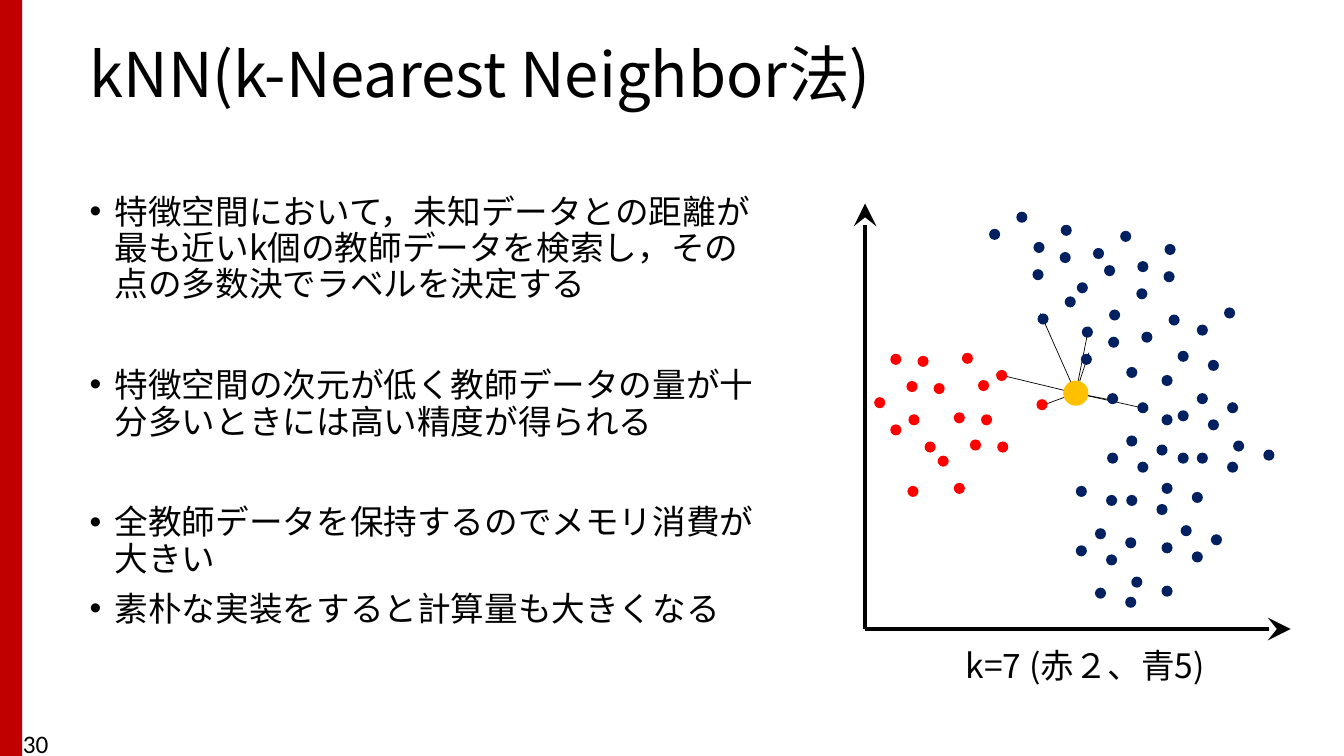
"""Build the k-nearest-neighbour slide, growing the scatter diagram from lattice patches."""
from dataclasses import dataclass, field

from lxml import etree
from pptx import Presentation
from pptx import util as u
from pptx.dml.color import RGBColor
from pptx.enum import shapes, text
from pptx.oxml import ns

BLACK = RGBColor(0x00, 0x00, 0x00)
BAR_RED = RGBColor(0xC0, 0x00, 0x00)
RED = RGBColor(0xFF, 0x00, 0x00)
NAVY = RGBColor(0x00, 0x20, 0x60)
AMBER = RGBColor(0xFF, 0xC0, 0x00)
JAPANESE_FONT = "Noto Sans CJK JP"
DOT_SIZE = 0.11
UNKNOWN_SIZE = 0.25
Point = tuple[float, float]
Cell = tuple[int, int]

PAIR: list[Cell] = [(0, 0)]
BLOCK: list[Cell] = [(row, column) for row in range(2) for column in range(2)]
NO_LOWER_LEFT = [cell for cell in BLOCK if cell != (1, 0)]
NO_LOWER_RIGHT = [cell for cell in BLOCK if cell != (1, 1)]


@dataclass
class Patch:
    corner: Point
    cells: list[Cell] = field(default_factory=lambda: PAIR)


@dataclass
class Lattice:
    color: RGBColor
    pair_step: Point
    row_step: Point
    column_step: Point
    patches: list[Patch]
    lone_dots: list[Point]

    def dots(self) -> list[Point]:
        steps = (self.pair_step, self.row_step, self.column_step)
        grown = [shift(patch.corner, steps, (mate, row, column))
                 for patch in self.patches
                 for row, column in patch.cells
                 for mate in range(2)]
        return grown + self.lone_dots


@dataclass
class Segment:
    start: Point
    end: Point
    width: float = 0.5
    arrow: bool = False


@dataclass
class Bullet:
    wording: str
    space_before: float


RED_CLASS = Lattice(
    RED, pair_step=(0.16, 0.27), row_step=(-0.16, 0.43), column_step=(0.27, 0.02),
    patches=[Patch((8.83, 3.51), NO_LOWER_RIGHT), Patch((9.46, 4.09), NO_LOWER_RIGHT),
             Patch((9.01, 4.11)), Patch((9.54, 3.5))],
    lone_dots=[(9, 4.82), (9.88, 3.67), (10.28, 3.96)])
BLUE_CLASS_UPPER = Lattice(
    NAVY, pair_step=(-0.27, 0.17), row_step=(0.43, 0.4), column_step=(-0.44, -0.13),
    patches=[Patch((10.52, 2.23), BLOCK), Patch((11.55, 2.42), NO_LOWER_LEFT),
             Patch((11, 3.07), NO_LOWER_LEFT), Patch((11.59, 3.12)), Patch((12.14, 3.05))],
    lone_dots=[(11.17, 3.64), (11.52, 3.72), (11.52, 4.11)])
BLUE_CLASS_LOWER = Lattice(
    NAVY, pair_step=(-0.3, -0.09), row_step=(0, 0.59), column_step=(-0.19, -0.42),
    patches=[Patch((11.47, 4.41), BLOCK), Patch((12.01, 5.3), NO_LOWER_LEFT),
             Patch((11.16, 5.33), BLOCK), Patch((12.17, 3.99), BLOCK),
             Patch((11.52, 5.81)), Patch((12.53, 4.46))],
    lone_dots=[(11.68, 4.49)])
LATTICES = [RED_CLASS, BLUE_CLASS_LOWER, BLUE_CLASS_UPPER]

UNKNOWN = (10.67, 3.9)
RED_NEIGHBORS = [(9.88, 3.71), (10.29, 4.04)]
BLUE_NEIGHBORS = [(10.32, 3.11), (10.8, 3.24), (10.8, 3.5), (11.08, 3.98), (11.39, 4.06)]
ORIGIN = (8.58, 6.24)
AXIS_LENGTH = 4.22
AXIS_ENDS = [(ORIGIN[0] + AXIS_LENGTH, ORIGIN[1]), (ORIGIN[0], ORIGIN[1] - AXIS_LENGTH)]
NEIGHBOR_LINKS = [Segment(neighbor, UNKNOWN) for neighbor in RED_NEIGHBORS + BLUE_NEIGHBORS]
AXES = [Segment(ORIGIN, end, width=3.25, arrow=True) for end in AXIS_ENDS]

BULLETS = [
    Bullet("特徴空間において，未知データとの距離が最も近いk個の教師データを検索し，"
           "その点の多数決でラベルを決定する", 0),
    Bullet("特徴空間の次元が低く教師データの量が十分多いときには高い精度が得られる", 46),
    Bullet("全教師データを保持するのでメモリ消費が大きい", 46),
    Bullet("素朴な実装をすると計算量も大きくなる", 10),
]


def shift(corner: Point, steps: tuple[Point, ...], counts: tuple[int, ...]) -> Point:
    x, y = corner
    for (step_x, step_y), count in zip(steps, counts):
        x, y = x + count * step_x, y + count * step_y
    return x, y


def write(paragraph, wording: str, *, size: float = 24, font: str = JAPANESE_FONT,
          spacing=None, before: float = 0, bullet: bool = False) -> None:
    if bullet:
        properties = paragraph._p.get_or_add_pPr()
        indent = u.Inches(0.25)
        properties.set("marL", str(indent))
        properties.set("indent", str(-indent))
        etree.SubElement(properties, ns.qn("a:buFont"), typeface="Arial")
        etree.SubElement(properties, ns.qn("a:buChar"), char="•")
    paragraph.alignment = text.PP_ALIGN.LEFT
    paragraph.space_before = u.Pt(before)
    if spacing is not None:
        paragraph.line_spacing = spacing
    run = paragraph.add_run()
    run.text = wording
    run.font.size = u.Pt(size)
    run.font.name = font
    run.font.color.rgb = BLACK
    latin = run._r.rPr.find(ns.qn("a:latin"))
    latin.addnext(etree.Element(ns.qn("a:ea"), typeface=font))


def add_text_frame(slide, left: float, top: float, width: float, height: float,
                   wrap: bool = True):
    box = slide.shapes.add_textbox(*map(u.Inches, (left, top, width, height)))
    box.text_frame.word_wrap = wrap
    return box.text_frame


def add_filled(slide, kind, color: RGBColor, left: float, top: float,
               width: float, height: float) -> None:
    shape = slide.shapes.add_shape(kind, *map(u.Inches, (left, top, width, height)))
    shape.shadow.inherit = False
    shape.fill.solid()
    shape.fill.fore_color.rgb = color
    shape.line.fill.background()


def add_dot(slide, color: RGBColor, corner: Point, size: float = DOT_SIZE) -> None:
    add_filled(slide, shapes.MSO_SHAPE.OVAL, color, *corner, size, size)


def add_segment(slide, segment: Segment) -> None:
    connector = slide.shapes.add_connector(
        shapes.MSO_CONNECTOR.STRAIGHT, *map(u.Inches, segment.start + segment.end))
    connector.line.color.rgb = BLACK
    connector.line.width = u.Pt(segment.width)
    if segment.arrow:
        etree.SubElement(connector.line._get_or_add_ln(), ns.qn("a:tailEnd"),
                         type="stealth", w="lg", len="lg")
    etree.SubElement(connector._element.spPr, ns.qn("a:effectLst"))


def add_title(slide) -> None:
    title = slide.shapes.title
    title.left, title.top = u.Inches(0.79), u.Inches(0.37)
    title.width, title.height = u.Inches(12.05), u.Inches(0.8)
    title.text_frame.auto_size = text.MSO_AUTO_SIZE.NONE
    title.text_frame.vertical_anchor = text.MSO_ANCHOR.MIDDLE
    write(title.text_frame.paragraphs[0], "kNN(k-Nearest Neighbor法)", size=44, spacing=0.9)


def add_bullets(slide) -> None:
    body = add_text_frame(slide, 0.79, 1.88, 6.94, 4.8)
    for index, bullet in enumerate(BULLETS):
        paragraph = body.add_paragraph() if index else body.paragraphs[0]
        write(paragraph, bullet.wording, spacing=u.Pt(26),
              before=bullet.space_before, bullet=True)


def add_scatter(slide) -> None:
    for segment in NEIGHBOR_LINKS + AXES:
        add_segment(slide, segment)
    for lattice in LATTICES:
        for corner in lattice.dots():
            add_dot(slide, lattice.color, corner)
    center_x, center_y = UNKNOWN
    add_dot(slide, AMBER, (center_x - UNKNOWN_SIZE / 2, center_y - UNKNOWN_SIZE / 2), UNKNOWN_SIZE)
    caption = add_text_frame(slide, 9.48, 6.35, 2.83, 0.5, wrap=False)
    write(caption.paragraphs[0], "k=7 (赤２、青5)")


def main() -> None:
    presentation = Presentation()
    presentation.slide_width, presentation.slide_height = u.Inches(13.33), u.Inches(7.5)
    slide = presentation.slides.add_slide(presentation.slide_layouts[5])
    add_filled(slide, shapes.MSO_SHAPE.RECTANGLE, BAR_RED, 0, 0, 0.22, 7.5)
    add_title(slide)
    add_bullets(slide)
    add_scatter(slide)
    page_number = add_text_frame(slide, 0.13, 7.18, 3, 0.4)
    write(page_number.paragraphs[0], "30", size=18, font="Calibri")
    presentation.save("out.pptx")


if __name__ == "__main__":
    main()
